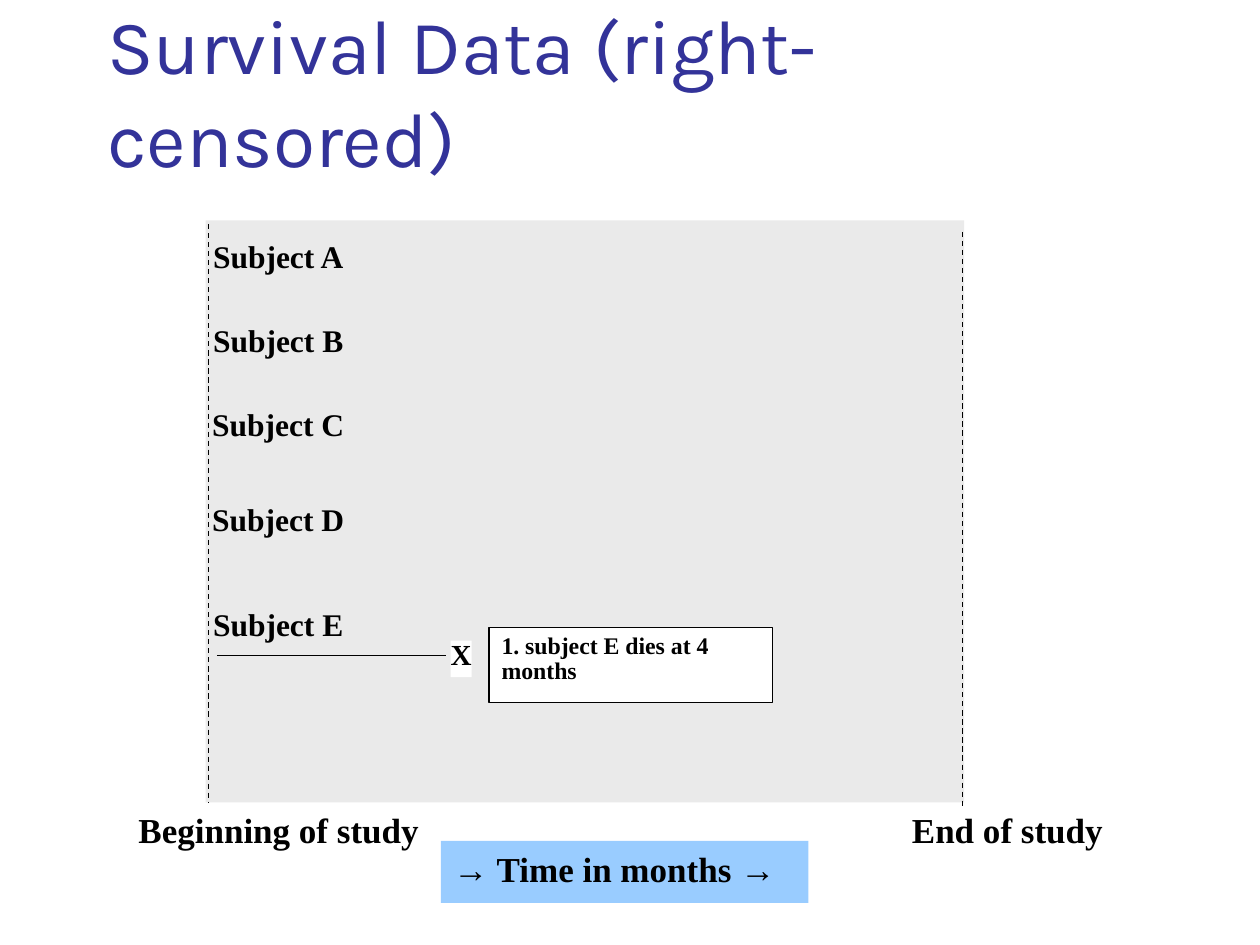
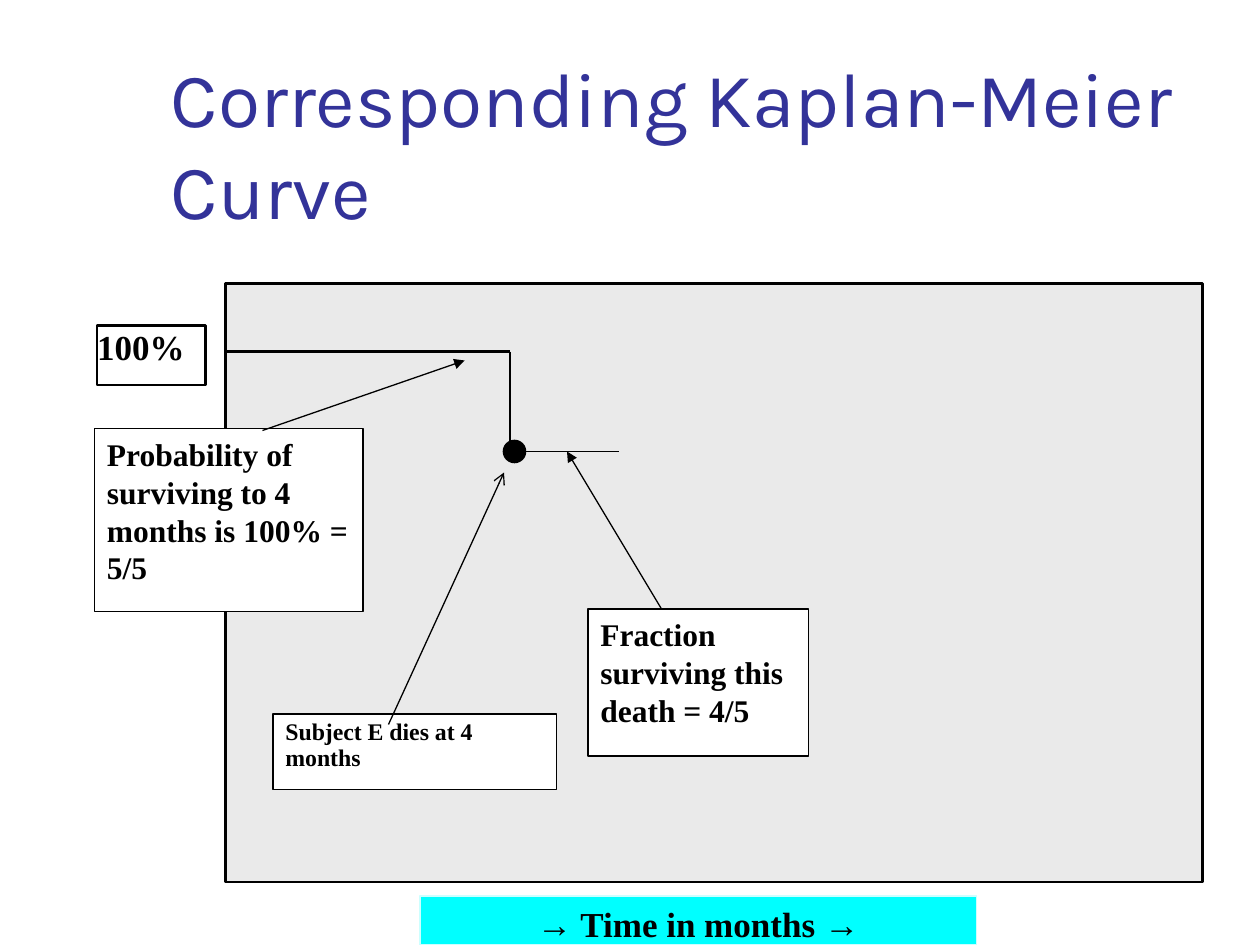
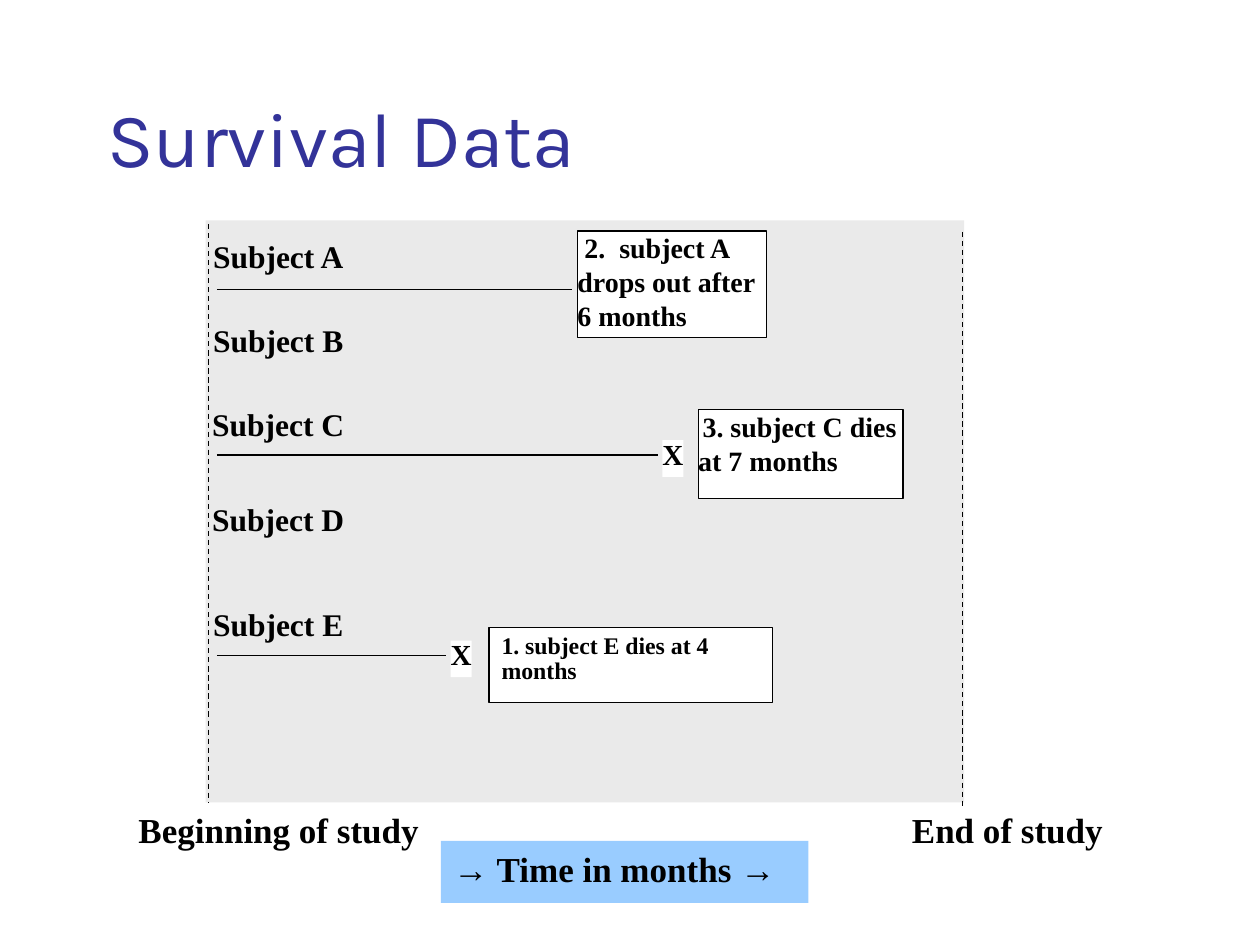
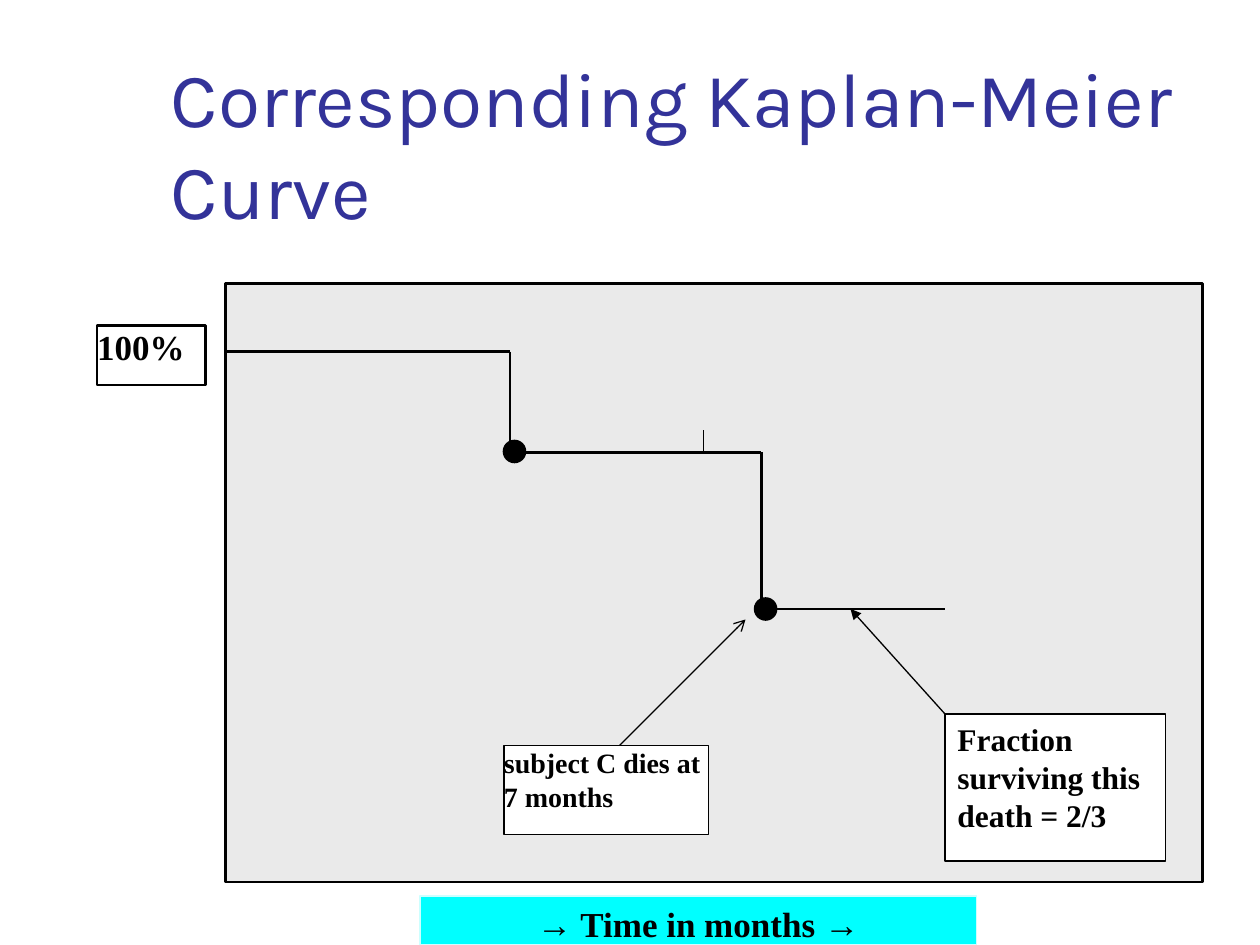
from lxml.etree import SubElement
from pptx import Presentation
from pptx.dml.color import RGBColor
from pptx.enum.dml import MSO_LINE
from pptx.enum.shapes import MSO_CONNECTOR, MSO_SHAPE
from pptx.enum.text import MSO_ANCHOR, MSO_AUTO_SIZE, PP_ALIGN
from pptx.oxml.ns import qn
from pptx.util import Pt

# Shared look
BLACK = RGBColor(0, 0, 0)
WHITE = RGBColor(255, 255, 255)
GREY = RGBColor(0xEA, 0xEA, 0xEA)
INDIGO = RGBColor(0x33, 0x33, 0x99)
SKY = RGBColor(0x99, 0xCC, 0xFF)
CYAN = RGBColor(0, 255, 255)
PALE = RGBColor(0xCC, 0xFF, 0xFF)
SERIF, SANS, HEAD = "Times New Roman", "Arial", "Karla"
THIN, THICK = 0.75, 1.5
INSET, TIGHT = (7.2, 3.6), (0, 0)
SUBJECTS = {"A": 132, "B": 180, "C": 228, "D": 282, "E": 342}


# Basic elements
def style(run, size, font=SERIF, color=BLACK, bold=True):
    run.font.size, run.font.name, run.font.bold = Pt(size), font, bold
    run.font.color.rgb = color


def fit(shape, inset):
    frame = shape.text_frame
    frame.word_wrap = True
    frame.auto_size = MSO_AUTO_SIZE.NONE
    frame.vertical_anchor = MSO_ANCHOR.TOP
    frame.margin_left = frame.margin_right = Pt(inset[0])
    frame.margin_top = frame.margin_bottom = Pt(inset[1])
    return frame


def write(shape, text, size, inset=INSET, align=PP_ALIGN.LEFT, space=1.0, indent=0):
    frame = fit(shape, inset)
    frame.text = text
    para = frame.paragraphs[0]
    para.alignment, para.line_spacing = align, space
    if indent:
        para._p.get_or_add_pPr().set("indent", str(Pt(indent)))
    style(para.runs[0], size)


def block(slide, box, fill, line=None, width=THIN, kind=MSO_SHAPE.RECTANGLE):
    shape = slide.shapes.add_shape(kind, *map(Pt, box))
    shape.shadow.inherit = False
    shape.fill.solid()
    shape.fill.fore_color.rgb = fill
    if line is None:
        shape.line.fill.background()
    else:
        shape.line.color.rgb = line
        shape.line.width = Pt(width)
    return shape


def label(slide, box, text, size, align=PP_ALIGN.LEFT):
    write(slide.shapes.add_textbox(*map(Pt, box)), text, size, align=align)


def note(slide, box, text, size=18, width=THIN, **look):
    write(block(slide, box, WHITE, BLACK, width), text, size, **look)


def rule(slide, x1, y1, x2, y2, width=THIN, head=None, dash=False):
    line = slide.shapes.add_connector(
        MSO_CONNECTOR.STRAIGHT, Pt(x1), Pt(y1), Pt(x2), Pt(y2))
    line.line.color.rgb = BLACK
    line.line.width = Pt(width)
    if dash:
        line.line.dash_style = MSO_LINE.DASH
    if head:
        SubElement(line.line._get_or_add_ln(), qn("a:tailEnd"), type=head)
    SubElement(line._element.spPr, qn("a:effectLst"))


def axis(slide, box, fill, line=None, align=PP_ALIGN.LEFT):
    frame = fit(block(slide, box, fill, line), INSET)
    para = frame.paragraphs[0]
    para.alignment = align
    for text, font in (("→", SANS), (" Time in months ", SERIF), ("→", SANS)):
        run = para.add_run()
        run.text = text
        style(run, 20, font)


def start(deck, text, box):
    slide = deck.slides.add_slide(deck.slide_layouts[5])
    title = slide.shapes.title
    title.left, title.top, title.width, title.height = map(Pt, box)
    frame = fit(title, INSET)
    frame.vertical_anchor = MSO_ANCHOR.BOTTOM
    frame.text = text
    para = frame.paragraphs[0]
    para.alignment = PP_ALIGN.LEFT
    style(para.runs[0], 44, HEAD, INDIGO, False)
    return slide


# Survival timeline
def study(deck, title):
    slide = start(deck, title, (54, 18, 612, 90))
    block(slide, (117.5, 126, 433.5, 332.5), GREY)
    rule(slide, 550, 132.5, 550, 462, dash=True)
    rule(slide, 119, 128, 119, 458.5, dash=True)
    label(slide, (72, 458.5, 253.5, 53.5), "Beginning of study", 20)
    label(slide, (514, 458.5, 253.5, 53.5), "End of study", 20)
    axis(slide, (252, 480.5, 210, 35.5), SKY)
    for name, top in SUBJECTS.items():
        label(slide, (66, top, 186, 25), f"Subject {name}", 18, PP_ALIGN.CENTER)
    return slide


def life(slide, end, y, dies=True):
    rule(slide, 124, y, end, y)
    if dies:
        mark = block(slide, (end + 2.5, y - 8.5, 12, 21), WHITE)
        write(mark, "X", 16.6, TIGHT, space=0.9)


def loss(slide):
    life(slide, 255, 374.5)
    note(slide, (279.5, 358.5, 162, 43), "1. subject E dies at 4 months", 13.6, space=0.9)


# Kaplan-Meier plot
def step(slide, x1, x2, y1, y2):
    rule(slide, x1, y1, x2, y1, THICK)
    rule(slide, x2, y1, x2, y2, THICK)
    block(slide, (x2 - 3.5, y2, 12, 12), BLACK, BLACK, THICK, MSO_SHAPE.OVAL)


def curve(deck):
    slide = start(deck, "Corresponding Kaplan-Meier Curve", (90.5, 48, 613.5, 90))
    block(slide, (129, 162, 558, 342), GREY, BLACK, THICK)
    note(slide, (55.5, 186, 62, 34), "100%", 20, THICK, inset=TIGHT)
    axis(slide, (240, 512, 318, 28), CYAN, PALE, PP_ALIGN.CENTER)
    step(slide, 129, 291.5, 201, 252)
    return slide


def share(slide, x, y, odds):
    note(slide, (x, y, 126, 84), f"Fraction surviving this death = {odds}")


def main():
    deck = Presentation()
    deck.slide_width, deck.slide_height = Pt(720), Pt(540)

    # First death on the timeline
    loss(study(deck, "Survival Data (right-censored)"))

    # First drop of the curve
    slide = curve(deck)
    note(slide, (54, 245, 153.5, 104.5),
         "Probability of surviving to 4 months is 100% = 5/5")
    rule(slide, 150, 246, 265.5, 206, head="triangle")
    share(slide, 336, 348, "4/5")
    rule(slide, 378, 348, 324, 258, head="triangle")
    rule(slide, 294, 258, 354, 258)
    note(slide, (156, 408, 162, 43), "Subject E dies at 4 months", 13.6, space=0.9)
    rule(slide, 222, 414, 288, 270, head="arrow")

    # Dropout and second death on the timeline
    slide = study(deck, "Survival Data")
    life(slide, 327, 165.5, dies=False)
    note(slide, (330, 132, 108, 61), "2.  subject A drops out after 6 months",
         16, inset=TIGHT, indent=4)
    loss(slide)
    life(slide, 376, 260)
    note(slide, (399, 234, 117, 51), "3. subject C dies at 7 months",
         16, inset=TIGHT, indent=2.5)

    # Second drop of the curve, with the dropout tick
    slide = curve(deck)
    step(slide, 293, 435, 258.5, 342)
    rule(slide, 402, 246, 402, 258)
    note(slide, (288, 426, 117, 51), "subject C dies at 7 months", 16, inset=TIGHT)
    rule(slide, 354, 426, 426, 354, head="arrow")
    rule(slide, 444, 348, 540, 348)
    share(slide, 540, 408, "2/3")
    rule(slide, 540, 408, 486, 348, head="triangle")

    deck.save("out.pptx")


if __name__ == "__main__":
    main()
